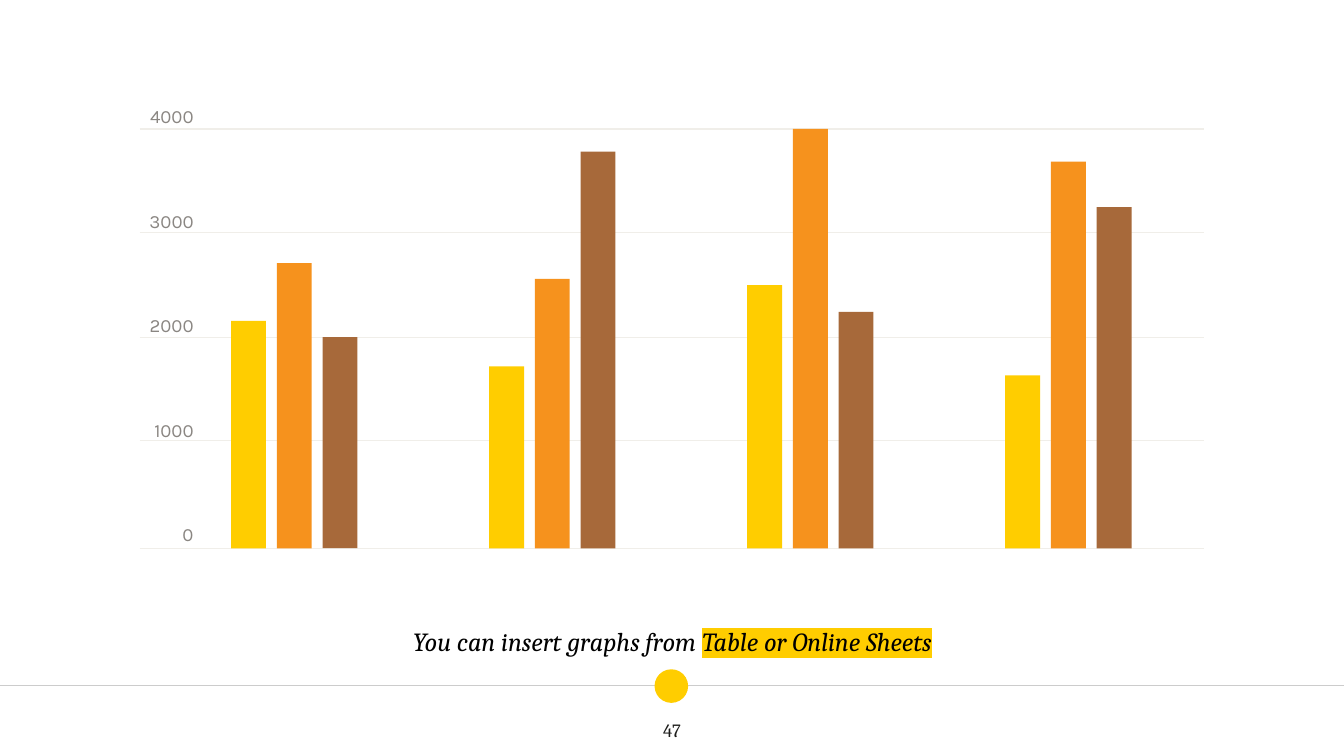
from lxml.etree import SubElement
from pptx import Presentation
from pptx.dml.color import RGBColor
from pptx.enum.shapes import MSO_CONNECTOR as CONNECTOR, MSO_SHAPE as SHAPE
from pptx.enum.text import MSO_ANCHOR as ANCHOR, PP_ALIGN as ALIGN
from pptx.oxml.ns import qn
from pptx.util import Inches, Pt

COLORS = {"yellow": "FFCD00", "orange": "F6921D", "brown": "A7693A", "rule": "CCCCCC",
          "grid": "F0EEE9", "axis": "8A8682", "caption": "000000", "number": "1D1D1B"}
CAPTION = ("You can insert graphs from ", "Table or Online Sheets")
PAGE_NUMBER = "47"
GRID_LINES = [("4000", 0.96), ("3000", 1.73), ("2000", 2.51), ("1000", 3.28), ("0", 4.08)]
SERIES = [
    ("yellow", (2170, 1735, 2510, 1650)),
    ("orange", (2720, 2570, 4000, 3690)),
    ("brown", (2015, 3785, 2255, 3255)),
]
MAXIMUM, BASELINE, FULL_HEIGHT = 4000, 4.08, 3.12
FIRST_BAR, GROUP_STEP, BAR_STEP, BAR_WIDTH = 1.72, 1.92, 0.34, 0.26
LABEL_GAP = 44


def rgb(name):
    return RGBColor.from_string(COLORS[name])


def add_line(slide, left, right, y, color):
    line = slide.shapes.add_connector(
        CONNECTOR.STRAIGHT, Inches(left), Inches(y), Inches(right), Inches(y))
    line.line.color.rgb = rgb(color)
    line.line.width = Pt(0.75)
    SubElement(line._element.spPr, qn("a:effectLst"))


def add_filled(slide, preset, left, top, width, height, color):
    filled = slide.shapes.add_shape(
        preset, Inches(left), Inches(top), Inches(width), Inches(height))
    filled.shadow.inherit = False
    filled.fill.solid()
    filled.fill.fore_color.rgb = rgb(color)
    filled.line.fill.background()


def add_frame(slide, left, top, width, height, anchor, inset):
    frame = slide.shapes.add_textbox(
        Inches(left), Inches(top), Inches(width), Inches(height)).text_frame
    frame.word_wrap = True
    frame.vertical_anchor = anchor
    frame.margin_left = frame.margin_right = Inches(inset)
    frame.margin_top = frame.margin_bottom = Inches(inset)
    return frame


def style(run, font_name, size, color, italic=None):
    run.font.name = font_name
    run.font.size = Pt(size)
    run.font.italic = italic
    run.font.color.rgb = rgb(color)


def highlight(run, color):
    properties = run.font._element
    mark = SubElement(properties, qn("a:highlight"))
    SubElement(mark, qn("a:srgbClr"), val=COLORS[color])
    properties.find(qn("a:solidFill")).addnext(mark)


def add_caption(slide):
    caption = add_frame(slide, 2.18, 4.42, 5.65, 0.57, ANCHOR.BOTTOM, 0.1).paragraphs[0]
    caption.alignment = ALIGN.CENTER
    for words in CAPTION:
        run = caption.add_run()
        run.text = words
        style(run, "Cambria", 14, "caption", italic=True)
    highlight(run, "yellow")


def add_page_number(slide):
    frame = add_frame(slide, 4.7, 5.23, 0.6, 0.4, ANCHOR.MIDDLE, 0.1)
    frame.text = PAGE_NUMBER
    number = frame.paragraphs[0]
    number.alignment = ALIGN.CENTER
    style(number.runs[0], "Cambria", 10, "number")


def add_axis(slide):
    for _, y in GRID_LINES:
        add_line(slide, 1.04, 8.96, y, "grid")
    frame = add_frame(slide, 1.04, 0.78, 0.4, 3.31, ANCHOR.TOP, 0)
    frame.text = "\n".join(label for label, _ in GRID_LINES)
    for index, label in enumerate(frame.paragraphs):
        label.alignment = ALIGN.RIGHT
        if index:
            label.space_before = Pt(LABEL_GAP)
        style(label.runs[0], "Karla", 10, "axis")


def add_bars(slide):
    for group in range(len(SERIES[0][1])):
        for series, (color, values) in enumerate(SERIES):
            height = FULL_HEIGHT * values[group] / MAXIMUM
            left = FIRST_BAR + group * GROUP_STEP + series * BAR_STEP
            add_filled(slide, SHAPE.RECTANGLE, left, BASELINE - height,
                       BAR_WIDTH, height, color)


def main():
    """Build the slide with a grouped bar graph and its caption."""
    presentation = Presentation()
    presentation.slide_width = Inches(10)
    presentation.slide_height = Inches(10 * 9 / 16)
    slide = presentation.slides.add_slide(presentation.slide_layouts[6])
    add_line(slide, -0.01, 10.01, 5.1, "rule")
    add_filled(slide, SHAPE.OVAL, 4.87, 4.98, 0.25, 0.25, "yellow")
    add_caption(slide)
    add_page_number(slide)
    add_axis(slide)
    add_bars(slide)
    presentation.save("out.pptx")


if __name__ == "__main__":
    main()
